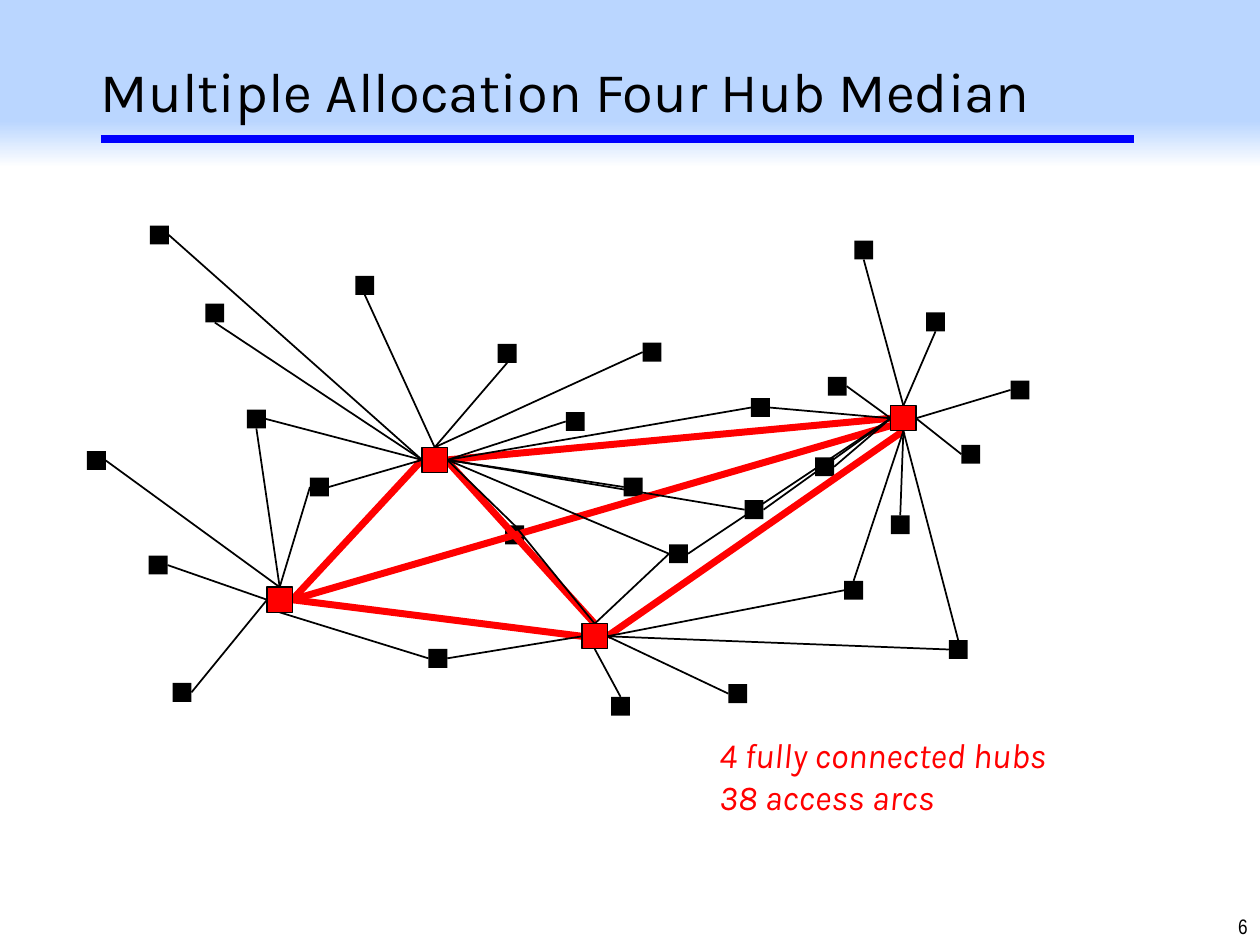
import pptx
import pptx.dml.color
import pptx.enum.shapes
import pptx.enum.text
import pptx.oxml
import pptx.oxml.ns
import pptx.util
from pptx.util import Inches

RGBColor = pptx.dml.color.RGBColor
BLACK = RGBColor(0x00, 0x00, 0x00)
WHITE = RGBColor(0xFF, 0xFF, 0xFF)
RED = RGBColor(0xFF, 0x00, 0x00)
BLUE = RGBColor(0x00, 0x00, 0xFF)
PALE_BLUE = RGBColor(0xBA, 0xD6, 0xFF)

TITLE = "Multiple Allocation Four Hub Median"
SUMMARY = ["4 fully connected hubs", "38 access arcs"]
PAGE_NUMBER = "6"

TOP, LEFT, BOTTOM, RIGHT = range(4)  # connection sites of a rectangle
NODE_SIZE, HUB_SIZE = 0.15, 0.2

HUBS = {  # name: (left, top)
    "south": (4.62, 4.95),
    "west": (2.12, 4.66),
    "north": (3.35, 3.55),
    "east": (7.07, 3.22),
}
HUB_LINKS = [  # hub, side, hub, side
    ("north", RIGHT, "east", LEFT),
    ("west", RIGHT, "south", LEFT),
    ("south", RIGHT, "east", BOTTOM),
    ("west", RIGHT, "east", RIGHT),
    ("south", TOP, "north", TOP),
    ("west", RIGHT, "north", LEFT),
]
NODES = [  # left, top, access arcs as (node side, hub, hub side)
    (1.19, 1.79, [(RIGHT, "north", LEFT)]),
    (0.69, 3.58, [(RIGHT, "west", TOP)]),
    (1.18, 4.41, [(RIGHT, "west", LEFT)]),
    (1.37, 5.42, [(RIGHT, "west", LEFT)]),
    (4.49, 3.27, [(LEFT, "north", RIGHT)]),
    (2.82, 2.19, [(BOTTOM, "north", TOP)]),
    (4.01, 4.17, [(TOP, "north", RIGHT), (TOP, "south", TOP)]),
    (1.63, 2.41, [(BOTTOM, "north", LEFT)]),
    (2.46, 3.79, [(RIGHT, "north", LEFT), (LEFT, "west", TOP)]),
    (3.40, 5.15, [(LEFT, "west", BOTTOM), (RIGHT, "south", LEFT)]),
    (3.95, 2.73, [(BOTTOM, "north", TOP)]),
    (1.96, 3.25, [(RIGHT, "north", LEFT), (BOTTOM, "west", TOP)]),
    (4.85, 5.53, [(TOP, "south", BOTTOM)]),
    (5.10, 2.72, [(LEFT, "north", TOP)]),
    (4.95, 3.79, [(LEFT, "north", RIGHT)]),
    (5.96, 3.16, [(LEFT, "north", RIGHT), (RIGHT, "east", LEFT)]),
    (5.78, 5.43, [(LEFT, "south", RIGHT)]),
    (5.31, 4.32, [(LEFT, "north", RIGHT), (LEFT, "south", TOP),
                  (RIGHT, "east", LEFT)]),
    (6.70, 4.61, [(LEFT, "south", RIGHT), (TOP, "east", BOTTOM)]),
    (7.53, 5.08, [(LEFT, "south", RIGHT), (TOP, "east", BOTTOM)]),
    (6.57, 2.99, [(RIGHT, "east", LEFT)]),
    (6.47, 3.63, [(RIGHT, "east", LEFT)]),
    (8.02, 3.02, [(LEFT, "east", RIGHT)]),
    (7.63, 3.53, [(LEFT, "east", RIGHT)]),
    (6.78, 1.91, [(BOTTOM, "east", TOP)]),
    (7.07, 4.09, [(TOP, "east", BOTTOM)]),
    (7.35, 2.48, [(BOTTOM, "east", TOP)]),
    (5.91, 3.97, [(LEFT, "north", RIGHT), (RIGHT, "east", LEFT)]),
]


def add_rectangle(slide, left, top, width, height, color):
    shape = slide.shapes.add_shape(
        pptx.enum.shapes.MSO_SHAPE.RECTANGLE,
        Inches(left), Inches(top), Inches(width), Inches(height))
    shape.shadow.inherit = False
    shape.fill.solid()
    shape.fill.fore_color.rgb = color
    shape.line.fill.background()
    return shape


def add_line(slide, color, width, start=(0, 0), end=(0, 0)):
    line = slide.shapes.add_connector(
        pptx.enum.shapes.MSO_CONNECTOR.STRAIGHT,
        *(Inches(value) for value in (*start, *end)))
    line.line.color.rgb = color
    line.line.width = pptx.util.Pt(width)
    properties = line.element.find(pptx.oxml.ns.qn("p:spPr"))
    pptx.oxml.xmlchemy.OxmlElement  # registered element factory
    properties.append(pptx.oxml.parse_xml(
        f"<a:effectLst {pptx.oxml.ns.nsdecls('a')}/>"))
    return line


def join(slide, first, first_side, second, second_side, color, width):
    line = add_line(slide, color, width)
    line.begin_connect(first, first_side)
    line.end_connect(second, second_side)


def format_text(shape, font_name, size, color, alignment, italic=False):
    for paragraph in shape.text_frame.paragraphs:
        paragraph.alignment = alignment
        for run in paragraph.runs:
            run.font.name = font_name
            run.font.size = pptx.util.Pt(size)
            run.font.color.rgb = color
            run.font.italic = italic


def add_text(slide, left, top, width, height, text):
    box = slide.shapes.add_textbox(
        Inches(left), Inches(top), Inches(width), Inches(height))
    box.text_frame.word_wrap = True
    box.text_frame.text = text
    return box


def add_title(slide):
    title = slide.shapes.title
    title.left, title.top = Inches(0.7), Inches(0.2)
    title.width, title.height = Inches(9.3), Inches(1.03)
    title.text_frame.text = TITLE
    title.text_frame.vertical_anchor = pptx.enum.text.MSO_ANCHOR.MIDDLE
    format_text(title, "Karla", 32, BLACK, pptx.enum.text.PP_ALIGN.LEFT)

    band = add_rectangle(slide, 0, 0, 10, 1.33, PALE_BLUE)
    band.fill.gradient()
    band.fill.gradient_angle = 90
    stops = zip(band.fill.gradient_stops, [(0, WHITE), (0.28, PALE_BLUE)])
    for stop, (position, color) in stops:
        stop.position = position
        stop.color.rgb = color
    title.element.addprevious(band.element)
    add_line(slide, BLUE, 4.5, (0.8, 1.1), (9, 1.1))


def add_network(slide):
    hubs = {}
    for name, (left, top) in HUBS.items():
        hub = add_rectangle(slide, left, top, HUB_SIZE, HUB_SIZE, RED)
        hub.line.color.rgb = BLACK
        hub.line.width = pptx.util.Pt(0.75)
        hubs[name] = hub
    nodes = [add_rectangle(slide, left, top, NODE_SIZE, NODE_SIZE, BLACK)
             for left, top, _ in NODES]
    for first, first_side, second, second_side in HUB_LINKS:
        join(slide, hubs[first], first_side, hubs[second], second_side, RED, 4)
    for node, (_, _, arcs) in zip(nodes, NODES):
        for node_side, hub, hub_side in arcs:
            join(slide, node, node_side, hubs[hub], hub_side, BLACK, 1)
    for hub in hubs.values():  # hubs lie over the line ends
        hub.element.getparent().append(hub.element)


def main():
    presentation = pptx.Presentation()
    presentation.slide_width = Inches(10)
    presentation.slide_height = Inches(7.5)
    slide = presentation.slides.add_slide(presentation.slide_layouts[5])
    add_title(slide)
    add_network(slide)
    summary = add_text(slide, 5.61, 5.77, 3.37, 0.77, "\n".join(SUMMARY))
    format_text(summary, "Karla", 20, RED, pptx.enum.text.PP_ALIGN.LEFT, True)
    number = add_text(slide, 8.78, 7.2, 1.22, 0.3, PAGE_NUMBER)
    format_text(number, "Arial Narrow", 12, BLACK,
                pptx.enum.text.PP_ALIGN.RIGHT)
    presentation.save("out.pptx")


if __name__ == "__main__":
    main()
